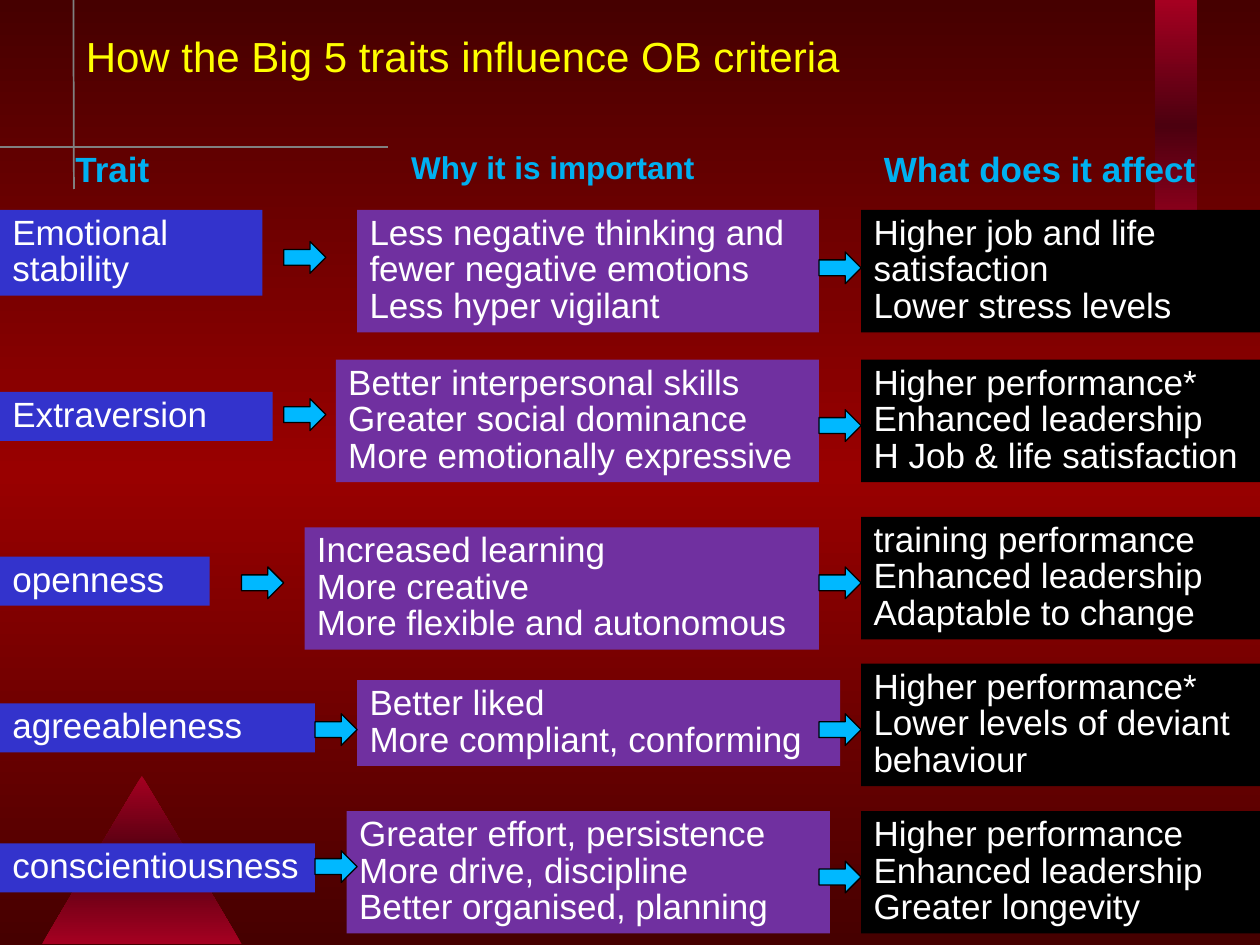
import copy
from dataclasses import dataclass

import lxml.etree
import pptx
import pptx.dml.color
import pptx.enum.shapes
import pptx.enum.text
import pptx.oxml.ns
import pptx.util

Cm, Pt = pptx.util.Cm, pptx.util.Pt
SHAPE = pptx.enum.shapes.MSO_SHAPE
TRAIT, WHY, EFFECT = "3333CC", "7030A0", "000000"
WHITE, HEADING = "FFFFFF", "00B0F0"
EFFECT_LEFT, EFFECT_WIDTH = 17.36, 8.04
ARROW_WIDTH, ARROW_HEIGHT = 0.85, 0.64


@dataclass
class Box:
    left: float
    top: float
    width: float
    lines: int
    paragraphs: list[str]


@dataclass
class Row:
    trait: Box
    why: Box
    effect: Box
    arrows: list[tuple[float, float]]


@dataclass
class Label:
    left: float
    top: float
    width: float
    text: str
    size: int = 20
    color: str = HEADING
    bold: bool = True


def effect(top: float, *paragraphs: str) -> Box:
    return Box(EFFECT_LEFT, top, EFFECT_WIDTH, 3, list(paragraphs))


def arrows(left: float, first_top: float, second_top: float) -> list[tuple[float, float]]:
    return [(left, first_top), (EFFECT_LEFT - ARROW_WIDTH, second_top)]


LABELS = [
    Label(1.48, 0.64, 17.36, "How the Big 5 traits influence OB criteria", 24, "FFFF00", False),
    Label(1.27, 2.96, 2.96, "Trait"),
    Label(8.04, 2.96, 7.83, "Why it is important", 18),
    Label(17.57, 2.96, 7.62, "What does it affect"),
]

ROWS = [
    Row(Box(0, 4.23, 5.29, 2, ["Emotional stability"]),
        Box(7.2, 4.23, 9.31, 3, ["Less negative thinking and fewer negative emotions",
                                 "Less hyper vigilant"]),
        effect(4.23, "Higher job and life satisfaction", "Lower stress levels"),
        arrows(5.72, 4.87, 5.08)),
    Row(Box(0, 7.9, 5.5, 1, ["Extraversion"]),
        Box(6.77, 7.25, 9.74, 3, ["Better interpersonal skills", "Greater social dominance",
                                  "More emotionally expressive"]),
        effect(7.25, "Higher performance*", "Enhanced leadership", "H Job & life satisfaction"),
        arrows(5.72, 8.04, 8.26)),
    Row(Box(0, 11.22, 4.23, 1, ["openness"]),
        Box(6.14, 10.63, 10.37, 3, ["Increased learning", "More creative",
                                    "More flexible and autonomous"]),
        effect(10.42, "training performance", "Enhanced leadership", "Adaptable to change"),
        arrows(4.87, 11.43, 11.43)),
    Row(Box(0, 14.18, 6.35, 1, ["agreeableness"]),
        Box(7.2, 13.71, 9.74, 2, ["Better liked", "More compliant, conforming"]),
        effect(13.38, "Higher performance*", "Lower levels of deviant behaviour"),
        arrows(6.35, 14.39, 14.39)),
    Row(Box(0, 17, 6.35, 1, ["conscientiousness"]),
        Box(6.99, 16.35, 9.74, 3, ["Greater effort, persistence", "More drive, discipline",
                                   "Better organised, planning"]),
        effect(16.35, "Higher performance", "Enhanced leadership", "Greater longevity"),
        arrows(6.35, 17.15, 17.36)),
]


def rgb(value: str) -> pptx.dml.color.RGBColor:
    return pptx.dml.color.RGBColor.from_string(value)


def set_gradient(fill, element, edge: str, middle: str) -> None:
    """Fill from top to bottom with edge, middle and edge colours."""
    fill.gradient()
    fill.gradient_angle = 270
    stops = element.find(".//" + pptx.oxml.ns.qn("a:gsLst"))
    stops.append(copy.deepcopy(stops[-1]))
    for stop, color, position in zip(fill.gradient_stops, (edge, middle, edge), (0, 0.5, 1)):
        stop.color.rgb = rgb(color)
        stop.position = position


def add_shape(s, kind, left: float, top: float, width: float, height: float):
    sp = s.shapes.add_shape(kind, Cm(left), Cm(top), Cm(width), Cm(height))
    sp.shadow.inherit = False
    sp.line.fill.background()
    return sp


def add_line(s, x1: float, y1: float, x2: float, y2: float) -> None:
    line = s.shapes.add_connector(pptx.enum.shapes.MSO_CONNECTOR.STRAIGHT,
                                  Cm(x1), Cm(y1), Cm(x2), Cm(y2))
    line.line.color.rgb = rgb("808080")
    line.line.width = Pt(1)
    sp_pr = line.element.find(pptx.oxml.ns.qn("p:spPr"))
    lxml.etree.SubElement(sp_pr, pptx.oxml.ns.qn("a:effectLst"))


def add_text(sp, paragraphs: list[str], size: int, color: str, bold: bool = False) -> None:
    tf = sp.text_frame
    tf.word_wrap = True
    tf.auto_size = pptx.enum.text.MSO_AUTO_SIZE.SHAPE_TO_FIT_TEXT
    tf.vertical_anchor = pptx.enum.text.MSO_ANCHOR.TOP
    for i, text in enumerate(paragraphs):
        p = tf.add_paragraph() if i else tf.paragraphs[0]
        p.alignment = pptx.enum.text.PP_ALIGN.LEFT
        p.line_spacing = 0.87
        r = p.add_run()
        r.text = text
        r.font.name = "Arial"
        r.font.size = Pt(size)
        r.font.bold = bold
        r.font.color.rgb = rgb(color)


def add_label(s, label: Label) -> None:
    height = 0.25 + 0.037 * label.size
    sp = s.shapes.add_textbox(Cm(label.left), Cm(label.top), Cm(label.width), Cm(height))
    add_text(sp, [label.text], label.size, label.color, label.bold)


def add_box(s, box: Box, color: str) -> None:
    sp = add_shape(s, SHAPE.RECTANGLE, box.left, box.top, box.width, 0.25 + 0.74 * box.lines)
    sp.fill.solid()
    sp.fill.fore_color.rgb = rgb(color)
    add_text(sp, box.paragraphs, 20, WHITE)


def add_arrow(s, left: float, top: float) -> None:
    sp = add_shape(s, SHAPE.RIGHT_ARROW, left, top, ARROW_WIDTH, ARROW_HEIGHT)
    sp.fill.solid()
    sp.fill.fore_color.rgb = rgb("00B8FF")
    sp.line.color.rgb = rgb("000000")
    sp.line.width = Pt(0.75)


def add_backdrop(s) -> None:
    set_gradient(s.background.fill, s.element, "460000", "990000")
    for kind, *place in [(SHAPE.FLOWCHART_EXTRACT, 0.85, 15.64, 4.02, 3.39),
                         (SHAPE.RECTANGLE, 23.28, 0, 0.85, 5.08)]:
        sp = add_shape(s, kind, *place)
        set_gradient(sp.fill, sp.element, "A50021", "4C000F")
    add_line(s, 0, 2.96, 7.83, 2.96)
    add_line(s, 1.48, 0, 1.49, 3.81)


def main() -> None:
    prs = pptx.Presentation()
    prs.slide_width, prs.slide_height = Cm(25.4), Cm(19.05)
    s = prs.slides.add_slide(prs.slide_layouts[6])
    add_backdrop(s)
    for label in LABELS:
        add_label(s, label)
    for row in ROWS:
        add_box(s, row.trait, TRAIT)
        add_box(s, row.why, WHY)
        add_box(s, row.effect, EFFECT)
        for left, top in row.arrows:
            add_arrow(s, left, top)
    prs.save("out.pptx")


if __name__ == "__main__":
    main()
